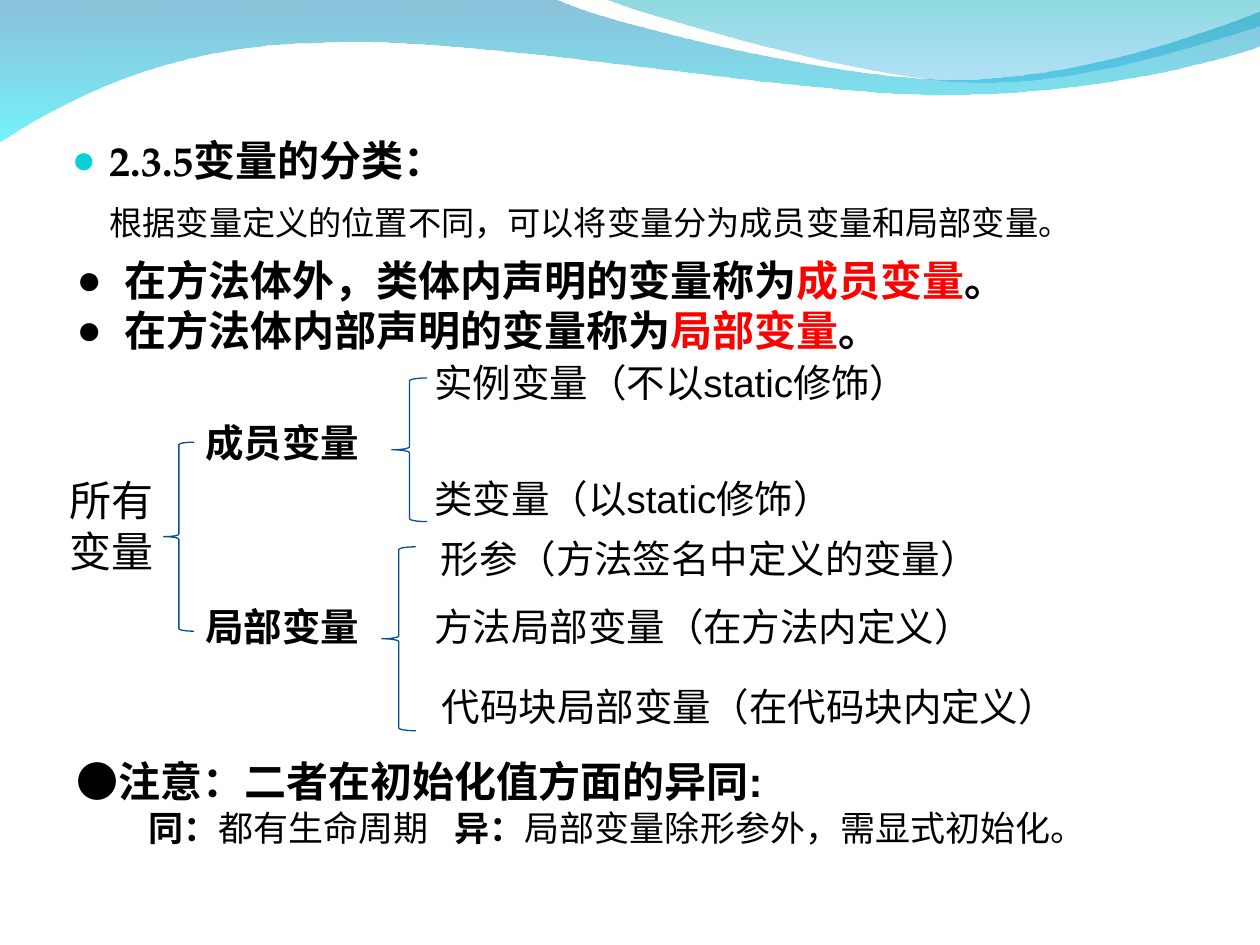
from lxml.etree import SubElement
from pptx import Presentation
from pptx.dml.color import RGBColor
from pptx.enum.shapes import MSO_SHAPE
from pptx.enum.text import MSO_ANCHOR, MSO_AUTO_SIZE, PP_ALIGN
from pptx.oxml.ns import qn
from pptx.util import Inches, Pt

BLACK, RED, BRACE_BLUE = "000000", "FF0000", "065093"


def rgb(value):
    """Return the colour for a hex string."""
    return RGBColor.from_string(value)


def set_indent(paragraph, margin, first_line):
    """Set the left margin of a paragraph and the shift of its first line."""
    props = paragraph._p.get_or_add_pPr()
    props.set("marL", str(Inches(margin)))
    props.set("indent", str(Inches(first_line)))
    return props


def add_bullet(paragraph, color, indent, percent=100):
    """Give a paragraph a round bullet with a hanging indent."""
    props = set_indent(paragraph, indent, -indent)
    fill = SubElement(props, qn("a:buClr"))
    SubElement(fill, qn("a:srgbClr"), val=color)
    SubElement(props, qn("a:buSzPct"), val=str(percent * 1000))
    SubElement(props, qn("a:buFont"), typeface="Arial")
    SubElement(props, qn("a:buChar"), char="●")


def add_tab(paragraph, position):
    """Add a left tab stop to a paragraph."""
    stops = SubElement(paragraph._p.get_or_add_pPr(), qn("a:tabLst"))
    SubElement(stops, qn("a:tab"), pos=str(Inches(position)), algn="l")


def style(paragraph, size, bold=False, font="Arial"):
    """Set the font that all runs of a paragraph share."""
    paragraph.font.name = font
    paragraph.font.size = Pt(size)
    paragraph.font.bold = bold
    paragraph.font.color.rgb = rgb(BLACK)


def add_frame(slide, left, top, width, height):
    """Add a wrapping text box and return its text frame."""
    frame = slide.shapes.add_textbox(*map(Inches, (left, top, width, height))).text_frame
    frame.word_wrap = True
    return frame


def add_label(slide, left, top, width, height, text, size, bold=False):
    """Add a text box holding a short label."""
    frame = add_frame(slide, left, top, width, height)
    frame.text = text
    for paragraph in frame.paragraphs:
        style(paragraph, size, bold)


def add_wave(slide, left, top, segments, stops):
    """Draw an outline of lines and curves with a translucent vertical gradient."""
    points = [point for segment in segments
              for point in (segment if len(segment) == 3 else [segment])]
    placed = [(Inches(left + x), Inches(top + y)) for x, y in points]
    builder = slide.shapes.build_freeform(*placed[0])
    builder.add_line_segments(placed[1:], close=True)
    wave = builder.convert_to_shape()
    lines = iter(list(wave._element.spPr.iter(qn("a:lnTo"))))
    for segment in segments[1:]:
        piece = next(lines)
        if len(segment) == 3:
            piece.tag = qn("a:cubicBezTo")
            for extra in (next(lines), next(lines)):
                piece.append(extra[0])
                extra.getparent().remove(extra)
    wave.shadow.inherit = False
    wave.line.fill.background()
    wave.fill.gradient()
    wave.fill.gradient_angle = 270
    for stop, (color, opacity) in zip(wave.fill.gradient_stops, stops):
        stop.color.rgb = rgb(color)
    for node, (color, opacity) in zip(wave._element.spPr.iter(qn("a:srgbClr")), stops):
        SubElement(node, qn("a:alpha"), val=str(opacity * 1000))


def add_header_waves(slide, left, top):
    """Draw the two overlapping waves along the top edge."""
    add_wave(slide, left, top, [
        (0, -0.01), (4.4, -0.01),
        ((4.76, 0.17), (6.64, 0.63), (7.58, 0.63)),
        ((8.53, 0.63), (9.58, 0.26), (10, 0.09)),
        (10.01, 0.36),
        ((9.83, 0.44), (8.7, 0.76), (7.46, 0.75)),
        ((6.22, 0.75), (3.82, 0.28), (2.57, 0.34)),
        ((1.29, 0.35), (0.46, 0.83), (-0.01, 1.13)),
    ], [("0079AF", 45), ("00EBF8", 55)])
    add_wave(slide, left, top, [
        (4.79, -0.01),
        ((5.09, 0.11), (6.82, 0.62), (7.69, 0.65)),
        ((8.56, 0.69), (9.61, 0.32), (10, 0.21)),
        (10, 0),
    ], [("00ADB6", 45), ("009BE5", 30)])


def add_heading(slide, left, top, width, height):
    """Place the bulleted title with the sentence below it."""
    title = slide.shapes.title
    title.left, title.top = Inches(left), Inches(top)
    title.width, title.height = Inches(width), Inches(height)
    frame = title.text_frame
    frame.text = "2.3.5变量的分类：\n根据变量定义的位置不同，可以将变量分为成员变量和局部变量。"
    frame.vertical_anchor = MSO_ANCHOR.TOP
    frame.auto_size = MSO_AUTO_SIZE.NONE
    heading, intro = frame.paragraphs
    add_bullet(heading, "0BD0D9", 0.3, 95)
    set_indent(intro, 0.3, 0)
    intro.space_before = Pt(9.5)
    style(heading, 24, True, "TeX Gyre Pagella")
    style(intro, 19, False, "TeX Gyre Pagella")
    for paragraph in frame.paragraphs:
        paragraph.alignment = PP_ALIGN.LEFT


def add_body(slide, left, top, width, height):
    """Place the two definitions and, below the tree, the closing note."""
    frame = add_frame(slide, left, top, width, height)
    definitions = [("在方法体外，类体内声明的变量称为", "成员变量"),
                   ("在方法体内部声明的变量称为", "局部变量")]
    outer, inner, note, comparison = [frame.paragraphs[0]] + [
        frame.add_paragraph() for _ in range(3)]
    for paragraph, (meaning, term) in zip((outer, inner), definitions):
        add_bullet(paragraph, BLACK, 0.38)
        style(paragraph, 24, True)
        for words, color in ((meaning, BLACK), (term, RED), ("。", BLACK)):
            run = paragraph.add_run()
            run.text = words
            run.font.color.rgb = rgb(color)
    note.space_before = Pt(229)
    note.add_run().text = "●注意：二者在初始化值方面的异同:"
    style(note, 24, True)
    set_indent(comparison, 0, 0.57)
    add_tab(comparison, 3.18)
    style(comparison, 20)
    for words, bold in (("同：", True), ("都有生命周期\t", False),
                        ("异：", True), ("局部变量除形参外，需显式初始化。", False)):
        run = comparison.add_run()
        run.text = words
        run.font.bold = bold


def add_variable_tree(slide, left, top):
    """Place the tree of variable kinds with its braces."""
    add_label(slide, left, top + 0.92, 0.92, 0.9, "所有\n变量", 24)
    for y, kind in ((0.48, "成员变量"), (1.94, "局部变量")):
        add_label(slide, left + 1.08, top + y, 1.65, 0.47, kind, 22, True)
    leaves = [(2.9, 0, 4.96, "实例变量（不以static修饰）"),
              (2.9, 0.92, 4.96, "类变量（以static修饰）"),
              (2.95, 1.4, 4.96, "形参（方法签名中定义的变量）"),
              (2.9, 1.94, 4.96, "方法局部变量（在方法内定义）"),
              (2.96, 2.57, 5.37, "代码块局部变量（在代码块内定义）")]
    for x, y, width, leaf in leaves:
        add_label(slide, left + x, top + y, width, 0.47, leaf, 22)
    for x, y, width, height in ((0.85, 0.71, 0.24, 1.5), (2.66, 0.2, 0.28, 1.14),
                                (2.58, 1.54, 0.27, 1.46)):
        brace = slide.shapes.add_shape(
            MSO_SHAPE.LEFT_BRACE, Inches(left + x), Inches(top + y),
            Inches(width), Inches(height))
        brace.shadow.inherit = False
        brace.fill.background()
        brace.line.color.rgb = rgb(BRACE_BLUE)
        brace.line.width = Pt(0.75)


def main():
    """Build and save the slide."""
    deck = Presentation()
    deck.slide_width, deck.slide_height = Inches(10), Inches(7.5)
    slide = deck.slides.add_slide(deck.slide_layouts[5])
    add_header_waves(slide, 0, 0)
    add_heading(slide, 0.47, 1.02, 8.49, 1)
    add_body(slide, 0.51, 1.97, 8.82, 4.8)
    add_variable_tree(slide, 0.45, 2.8)
    deck.save("out.pptx")


if __name__ == "__main__":
    main()
